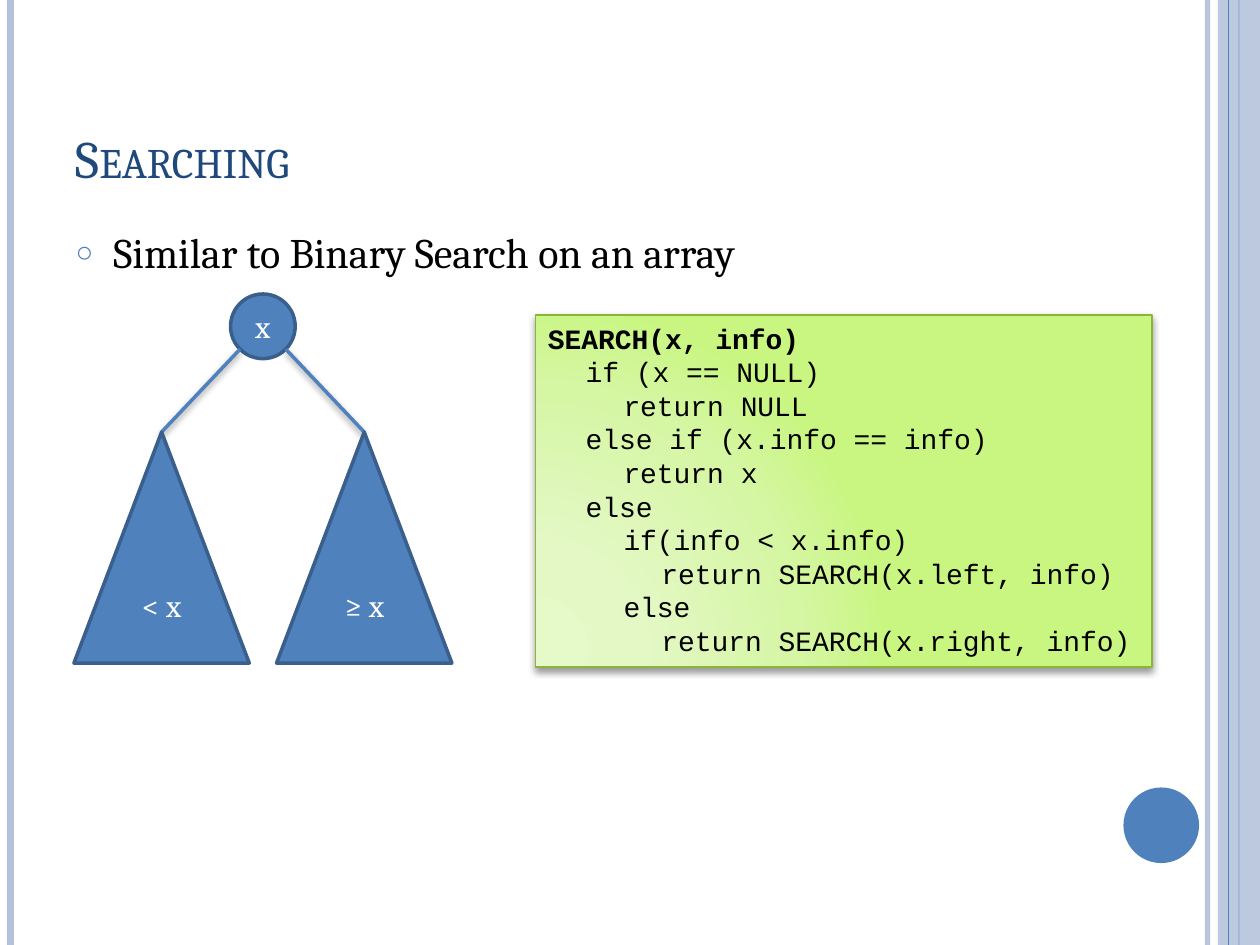
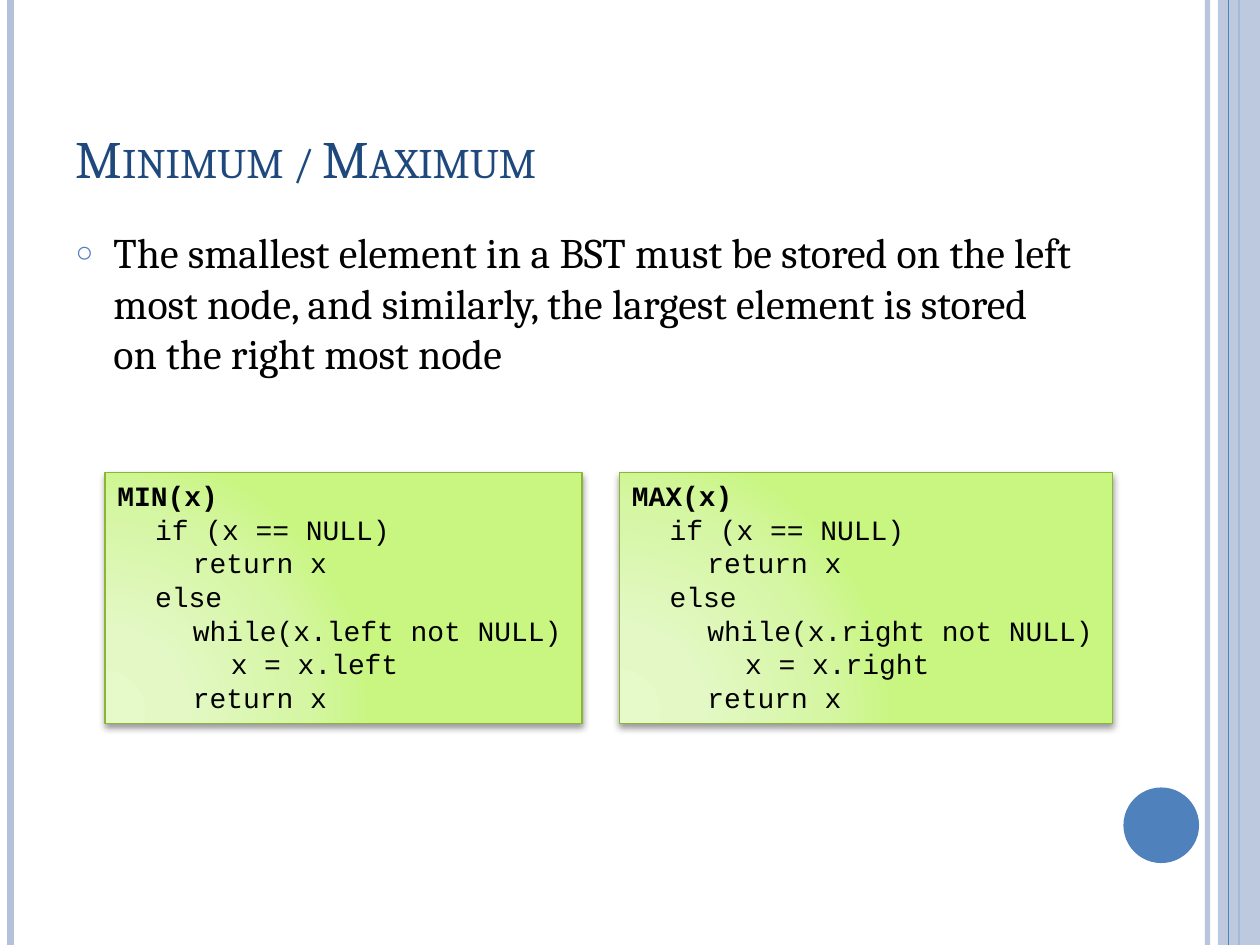
import math

from pptx import Presentation
from pptx import util as u
from pptx.dml import color as dml
from pptx.enum import shapes as kinds
from pptx.enum import text as txt
from pptx.oxml import parse_xml
from pptx.oxml.ns import nsdecls, qn

COLORS = {
    "title": "1F497D", "ink": "000000", "paper": "FFFFFF", "accent": "4F81BD",
    "band": "B3C1DB", "node_edge": "3A5F8C", "code_edge": "8CB537",
}
CODE_GRADIENT = {0: "E5F9C9", 30: "E3F8C4", 75: "D5F6A3", 100: "C8F680"}
SERIF, MONO = "Cambria", "Courier New"
COLUMNS, ROWS = 120, 90
CELL = u.Inches(10) // COLUMNS
INDENT = u.Inches(0.3)

SEARCH = """SEARCH(x, info)
\tif (x == NULL)
\t\treturn NULL
\telse if (x.info == info)
\t\treturn x
\telse
\t\tif(info < x.info)
\t\t\treturn SEARCH(x.left, info)
\t\telse
\t\t\treturn SEARCH(x.right, info)"""
EXTREME = """{name}(x)
\tif (x == NULL)
\t\treturn x
\telse
\t\twhile(x.{side} not NULL)
\t\t\tx = x.{side}
\t\treturn x"""


def cells(*counts):
    return [round(count * CELL) for count in counts]


def rgb(name):
    return dml.RGBColor.from_string(COLORS[name])


def style(paragraph, size, font, color, bold=False):
    for span in paragraph.runs:
        span.font.size = u.Pt(size)
        span.font.name = font
        span.font.bold = bold
        span.font.color.rgb = rgb(color)


def set_alpha(shape, percent):
    for tint in shape.element.spPr.iter(qn("a:srgbClr")):
        tint.append(parse_xml(f'<a:alpha {nsdecls("a")} val="{percent * 1000}"/>'))


def set_effect(shape, shadow=False):
    properties = shape.element.spPr
    for old in properties.findall(qn("a:effectLst")):
        properties.remove(old)
    effect = ""
    if shadow:
        effect = (f'<a:outerShdw blurRad="{u.Pt(4)}" dist="{u.Pt(2)}" dir="5400000" rotWithShape="0">'
                  f'<a:srgbClr val="{COLORS["ink"]}"><a:alpha val="40000"/></a:srgbClr></a:outerShdw>')
    properties.append(parse_xml(f'<a:effectLst {nsdecls("a")}>{effect}</a:effectLst>'))


def add_line(parent, start, end, color, width, shadow=False):
    line = parent.add_connector(kinds.MSO_CONNECTOR.STRAIGHT, *cells(*start, *end))
    line.line.color.rgb = rgb(color)
    line.line.width = u.Pt(width)
    set_effect(line, shadow)
    return line


def add_solid(parent, kind, area, color, edge=None):
    shape = parent.add_shape(kind, *cells(*area))
    shape.shadow.inherit = False
    shape.fill.solid()
    shape.fill.fore_color.rgb = rgb(color)
    if edge:
        shape.line.color.rgb = rgb(edge)
        shape.line.width = u.Pt(2)
    else:
        shape.line.fill.background()
    return shape


def add_node(parent, kind, area, label):
    node = add_solid(parent, kind, area, "accent", "node_edge")
    frame = node.text_frame
    frame.text = label
    frame.vertical_anchor = txt.MSO_ANCHOR.MIDDLE
    frame.paragraphs[0].alignment = txt.PP_ALIGN.CENTER
    style(frame.paragraphs[0], 18, SERIF, "paper")
    return node


def add_code(page, area, code):
    box = page.shapes.add_shape(kinds.MSO_SHAPE.RECTANGLE, *cells(*area))
    stops = "".join(f'<a:gs pos="{place * 1000}"><a:srgbClr val="{tint}"/></a:gs>'
                    for place, tint in CODE_GRADIENT.items())
    box.element.spPr.find(qn("a:prstGeom")).addnext(parse_xml(
        f'<a:gradFill {nsdecls("a")} rotWithShape="1"><a:gsLst>{stops}</a:gsLst>'
        '<a:path path="circle"><a:fillToRect l="5000" t="100000" r="120000" b="10000"/>'
        '</a:path></a:gradFill>'))
    box.line.color.rgb = rgb("code_edge")
    box.line.width = u.Pt(1)
    set_effect(box, shadow=True)
    frame = box.text_frame
    frame.text = code
    frame.word_wrap = False
    frame.auto_size = txt.MSO_AUTO_SIZE.SHAPE_TO_FIT_TEXT
    frame.vertical_anchor = txt.MSO_ANCHOR.TOP
    tabs = "".join(f'<a:tab pos="{INDENT * level}" algn="l"/>' for level in (1, 2, 3))
    for number, para in enumerate(frame.paragraphs):
        para.alignment = txt.PP_ALIGN.LEFT
        para._p.get_or_add_pPr().append(parse_xml(f'<a:tabLst {nsdecls("a")}>{tabs}</a:tabLst>'))
        style(para, 16, MONO, "ink", bold=number == 0)


def place(shape, area):
    shape.left, shape.top, shape.width, shape.height = cells(*area)


def prepare_layout(deck, layout):
    place(layout.placeholders[0], (6, 3.6, 98, 15))
    place(layout.placeholders[1], (6, 21, 98, 64))
    draft = deck.slides.add_slide(layout)
    parent = draft.shapes

    def rule(column, color, width):
        return add_line(parent, (column, 0), (column, ROWS), color, width)

    edge = rule(115, "band", 3)
    set_alpha(edge, 93)
    left = rule(1, "band", 4.5)
    right = rule(118, "accent", 1.5)
    band = add_solid(parent, kinds.MSO_SHAPE.RECTANGLE, (116, 0, 4, ROWS), "band")
    set_alpha(band, 87)
    thin = rule(117, "accent", 0.75)
    disc = add_solid(parent, kinds.MSO_SHAPE.OVAL, (107, 75, 7.2, 7.2), "accent")
    for number, shape in enumerate((edge, left, right, band, thin, disc)):
        shape.element.xpath("./*/p:cNvPr")[0].set("id", str(100 + number))
        layout.shapes.element.insert(2 + number, shape.element)
    return draft


def fill_page(page, title, point):
    heading = page.shapes.title.text_frame
    heading.text = title
    heading.vertical_anchor = txt.MSO_ANCHOR.BOTTOM
    heading.paragraphs[0].alignment = txt.PP_ALIGN.LEFT
    style(heading.paragraphs[0], 30, SERIF, "title")
    for span in heading.paragraphs[0].runs:
        span.font._element.set("cap", "small")

    body = page.placeholders[1].text_frame
    body.text = point
    para = body.paragraphs[0]
    para.space_before = u.Pt(0)
    properties = para._p.get_or_add_pPr()
    properties.set("marL", str(INDENT))
    properties.set("indent", str(-INDENT))
    for bullet in (f'<a:buClr {{}}><a:srgbClr val="{COLORS["accent"]}"/></a:buClr>',
                   '<a:buSzPct {} val="70000"/>', '<a:buChar {} char="○"/>'):
        properties.append(parse_xml(bullet.format(nsdecls("a"))))
    style(para, 24, SERIF, "ink")
    for frame in (heading, body):
        frame.auto_size = txt.MSO_AUTO_SIZE.NONE


def add_tree(page):
    tree = page.shapes.add_group_shape().shapes
    center, middle, radius = 25.04, 31.08, 3.08
    apex_row, base, height, spread = 41.15, 16.7, 22, 9.65
    add_node(tree, kinds.MSO_SHAPE.OVAL,
             (center - radius, middle - radius, 2 * radius, 2 * radius), "x")
    reach = radius * math.sqrt(0.5)
    for side, label in ((-1, "< x"), (1, "≥ x")):
        apex = center + side * spread
        branch = add_line(tree, (center + side * reach, middle + reach),
                          (apex, apex_row), "accent", 2, shadow=True)
        subtree = add_node(tree, kinds.MSO_SHAPE.ISOSCELES_TRIANGLE,
                           (apex - base / 2, apex_row, base, height), label)
        branch.end_connect(subtree, 0)


def main():
    deck = Presentation()
    deck.slide_width, deck.slide_height = cells(COLUMNS, ROWS)
    layout = deck.slide_layouts[1]

    search = prepare_layout(deck, layout)
    fill_page(search, "Searching", "Similar to Binary Search on an array")
    add_code(search, (51, 30, 58.7, 33.5), SEARCH)
    add_tree(search)

    extremes = deck.slides.add_slide(layout)
    fill_page(extremes, "Minimum / Maximum",
              "The smallest element in a BST must be stored on the left most node, "
              "and similarly, the largest element is stored on the right most node")
    for column, width, name, side in ((10, 45.4, "MIN", "left"), (59, 46.95, "MAX", "right")):
        add_code(extremes, (column, 45, width, 23.9), EXTREME.format(name=name, side=side))

    deck.save("out.pptx")


if __name__ == "__main__":
    main()
